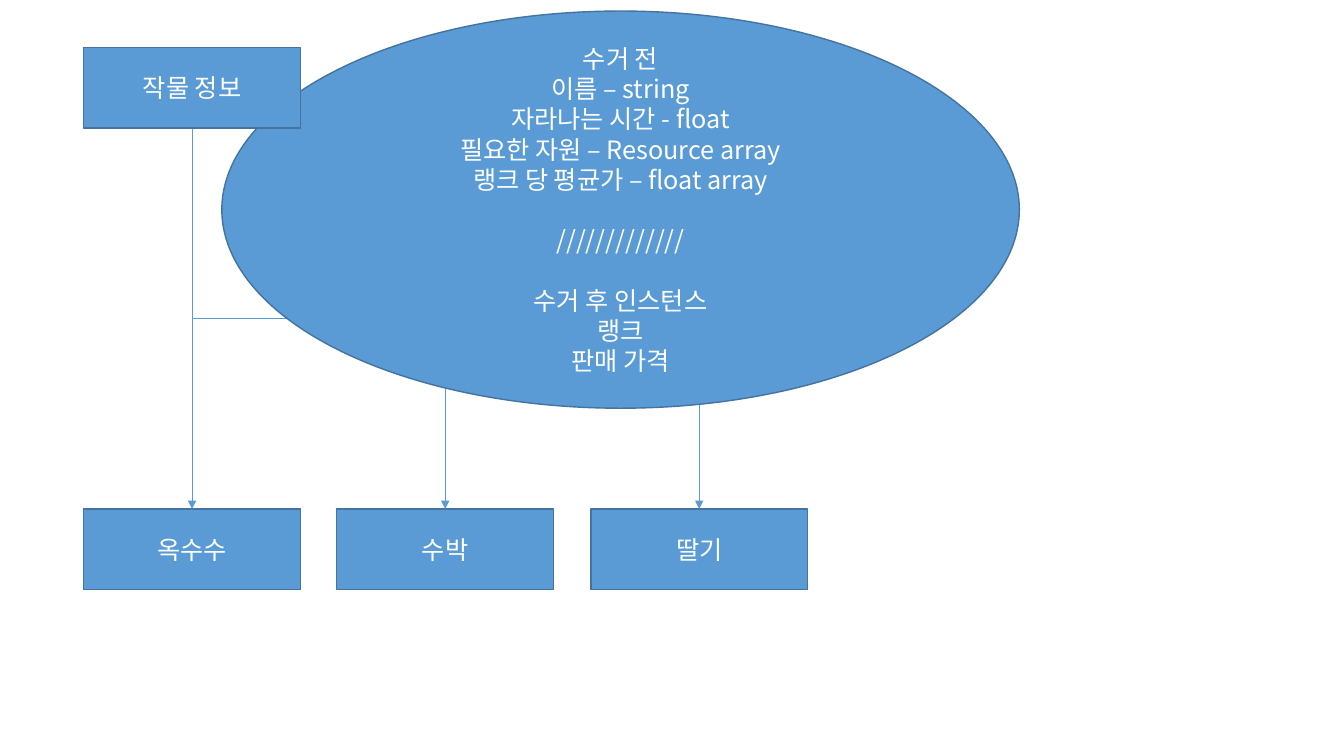
from lxml.etree import SubElement
from pptx import Presentation
from pptx.dml.color import RGBColor
from pptx.enum.shapes import MSO_CONNECTOR, MSO_SHAPE
from pptx.enum.text import MSO_ANCHOR, PP_ALIGN
from pptx.oxml.ns import qn
from pptx.util import Pt

PX = 9144  # EMU per px, 100 px to the inch
COLORS = {"fill": "5B9BD5", "edge": "43739E", "text": "FFFFFF"}
FONT = "Noto Sans CJK KR"
TEXT_SIZE = Pt(18)
LINE_PITCH = Pt(21.6)
BOTTOM, TOP = 2, 0


def color(name):
    return RGBColor.from_string(COLORS[name])


class Diagram:
    def __init__(self, slide):
        self.s = slide

    def node(self, kind, x, y, w, h, groups):
        """Shape with centred lines; each group after the first follows a one-line gap."""
        sp = self.s.shapes.add_shape(kind, x * PX, y * PX, w * PX, h * PX)
        sp.shadow.inherit = False
        sp.fill.solid()
        sp.fill.fore_color.rgb = color("fill")
        sp.line.color.rgb = color("edge")
        sp.line.width = Pt(1)
        tf = sp.text_frame
        tf.word_wrap = True
        tf.vertical_anchor = MSO_ANCHOR.MIDDLE
        p = None
        for g, lines in enumerate(groups):
            for i, line in enumerate(lines):
                p = tf.add_paragraph() if p else tf.paragraphs[0]
                p.alignment = PP_ALIGN.CENTER
                p.line_spacing = LINE_PITCH
                if g and i == 0:
                    p.space_before = LINE_PITCH
                self.run(p, line)
        return sp

    def run(self, p, text):
        r = p.add_run()
        r.text = text
        r.font.size = TEXT_SIZE
        r.font.name = FONT
        r.font.color.rgb = color("text")
        SubElement(r.font._element, qn("a:ea")).set("typeface", FONT)

    def arrow(self, parent, child):
        """Arrow from the bottom of parent to the top of child, bent if they are not aligned."""
        straight = parent.left == child.left
        kind = MSO_CONNECTOR.STRAIGHT if straight else MSO_CONNECTOR.ELBOW
        cxn = self.s.shapes.add_connector(kind, 0, 0, 0, 0)
        cxn.begin_connect(parent, BOTTOM)
        cxn.end_connect(child, TOP)
        cxn.line.color.rgb = color("fill")
        cxn.line.width = Pt(0.5)
        sp_pr = cxn.element.spPr
        SubElement(cxn.line._get_or_add_ln(), qn("a:tailEnd")).set("type", "triangle")
        SubElement(sp_pr, qn("a:effectLst"))
        if not straight:
            # Turn the elbow so that it leaves downwards
            x, y, w, h = cxn.left, cxn.top, cxn.width, cxn.height
            cxn.left, cxn.top = x + (w - h) // 2, y + (h - w) // 2
            cxn.width, cxn.height = h, w
            xfrm = sp_pr.find(qn("a:xfrm"))
            xfrm.set("rot", str(270 * 60000))
            xfrm.set("flipH", "1")


def main():
    prs = Presentation()
    prs.slide_width, prs.slide_height = 1333 * PX, 750 * PX
    d = Diagram(prs.slides.add_slide(prs.slide_layouts[6]))

    # Crop boxes
    left, box_w, box_h = 83, 215, 80
    info = d.node(MSO_SHAPE.RECTANGLE, left, 47, box_w, box_h, [["작물 정보"]])
    crops = [
        d.node(MSO_SHAPE.RECTANGLE, left + i * 503 // 2, 505, box_w, box_h, [[name]])
        for i, name in enumerate(["옥수수", "수박", "딸기"])
    ]

    # Arrows to each crop
    for crop in crops:
        d.arrow(info, crop)

    # Crop fields before and after harvest
    d.node(MSO_SHAPE.OVAL, 220, 11, 791, 394, [
        ["수거 전", "이름 – string", "자라나는 시간 - float",
         "필요한 자원 – Resource array", "랭크 당 평균가 – float array"],
        ["/////////////"],
        ["수거 후 인스턴스", "랭크", "판매 가격"],
    ])

    # The info box lies over the ellipse
    d.s.shapes.element.append(info.element)
    prs.save("out.pptx")


if __name__ == "__main__":
    main()
